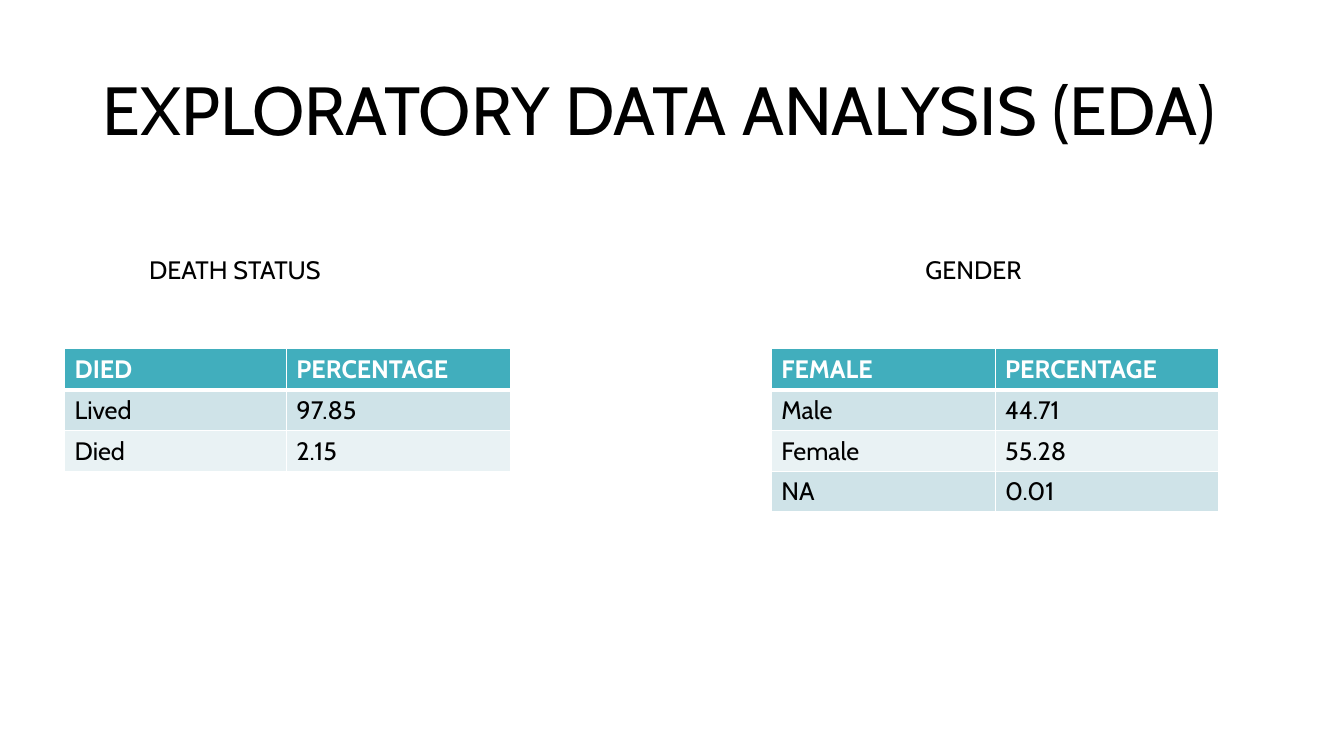
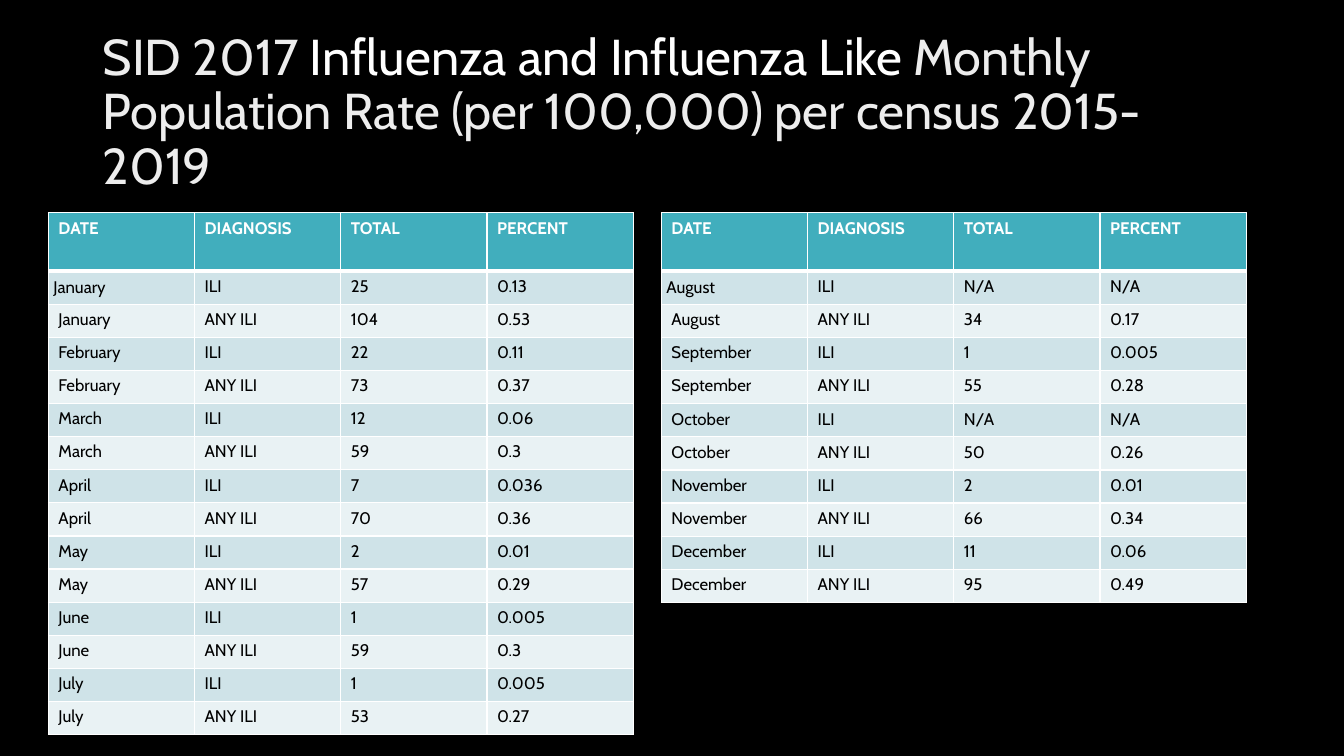
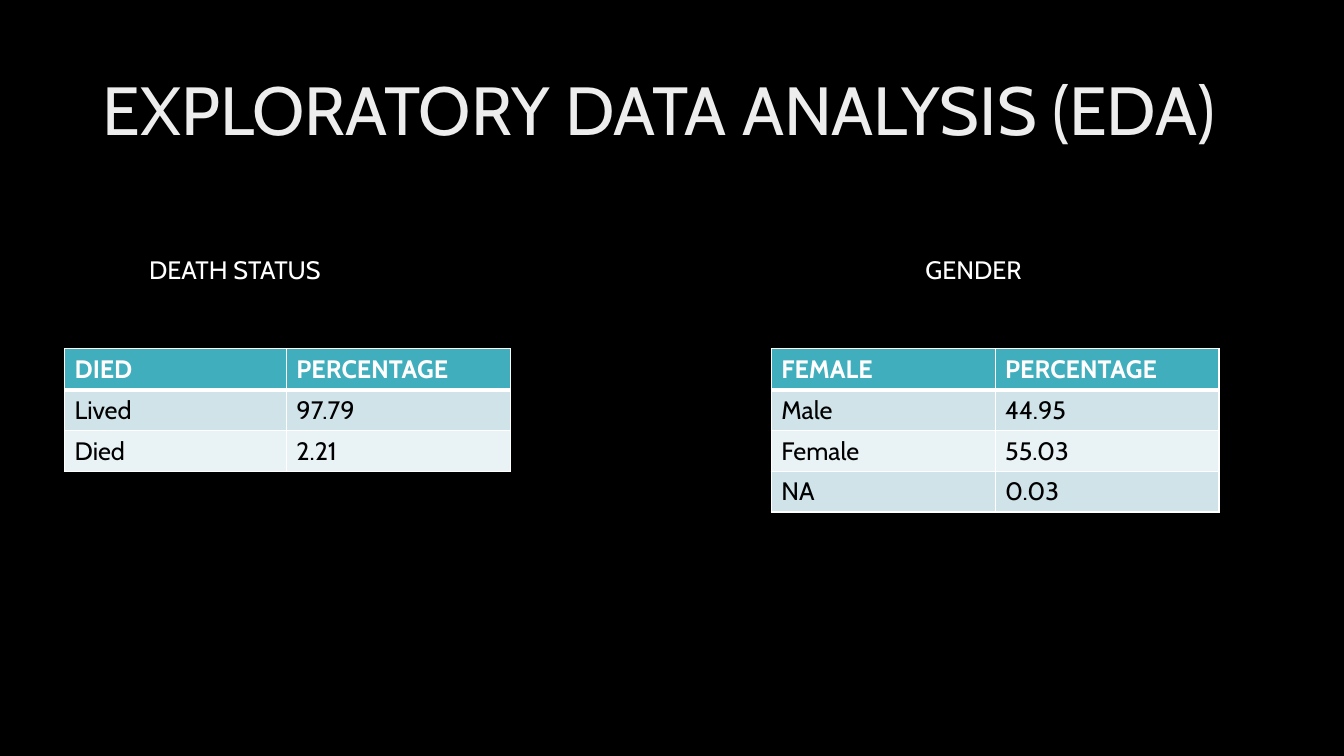
from lxml.etree import SubElement
from pptx import Presentation
from pptx.dml.color import RGBColor
from pptx.enum.text import MSO_ANCHOR, MSO_AUTO_SIZE
from pptx.oxml.ns import qn
from pptx.util import Inches, Pt

WHITE = RGBColor(0xFF, 0xFF, 0xFF)
BLACK = RGBColor(0x00, 0x00, 0x00)
SILVER = RGBColor(0xED, 0xED, 0xED)
TEAL = RGBColor(0x41, 0xAE, 0xBD)
BANDS = [RGBColor(0xE9, 0xF2, 0xF4), RGBColor(0xCF, 0xE3, 0xE8)]
FONT = "Cabin"

HEADS = ["DATE", "DIAGNOSIS", "TOTAL", "PERCENT"]
KINDS = ["ILI", "ANY ILI"]
# Each month holds total and percent for each of KINDS.
EARLY = {
    "January": [("25", "0.13"), ("104", "0.53")],
    "February": [("22", "0.11"), ("73", "0.37")],
    "March": [("12", "0.06"), ("59", "0.3")],
    "April": [("7", "0.036"), ("70", "0.36")],
    "May": [("2", "0.01"), ("57", "0.29")],
    "June": [("1", "0.005"), ("59", "0.3")],
    "July": [("1", "0.005"), ("53", "0.27")],
}
LATE = {
    "August": [("N/A", "N/A"), ("34", "0.17")],
    "September": [("1", "0.005"), ("55", "0.28")],
    "October": [("N/A", "N/A"), ("50", "0.26")],
    "November": [("2", "0.01"), ("66", "0.34")],
    "December": [("11", "0.06"), ("95", "0.49")],
}


def style(run, size, color, bold=False):
    font = run.font
    font.name, font.size, font.bold = FONT, Pt(size), bold
    font.color.rgb = color


def add_slide(prs, back):
    slide = prs.slides.add_slide(prs.slide_layouts[6])
    slide.background.fill.solid()
    slide.background.fill.fore_color.rgb = back
    return slide


def add_title(slide, parts, size):
    """Add the title from (text, colour) parts."""
    box = slide.shapes.add_textbox(
        Inches(0.92), Inches(0.4), Inches(11.5), Inches(1.45))
    frame = box.text_frame
    frame.word_wrap = True
    frame.vertical_anchor = MSO_ANCHOR.MIDDLE
    para = frame.paragraphs[0]
    para.line_spacing = 0.9
    for text, color in parts:
        run = para.add_run()
        run.text = text
        style(run, size, color)


def add_label(slide, text, left, width, color):
    box = slide.shapes.add_textbox(
        Inches(left), Inches(2.47), Inches(width), Inches(0.4))
    frame = box.text_frame
    frame.word_wrap = False
    frame.auto_size = MSO_AUTO_SIZE.SHAPE_TO_FIT_TEXT
    frame.text = text
    style(frame.paragraphs[0].runs[0], 18, color)


def set_edges(cell, top, base):
    """Draw white cell borders; top and base are widths in points."""
    props = cell._tc.get_or_add_tcPr()
    edges = [("L", 1), ("R", 1), ("T", top), ("B", base)]
    for spot, (side, width) in enumerate(edges):
        line = SubElement(props, qn(f"a:ln{side}"), w=str(Pt(width)))
        fill = SubElement(line, qn("a:solidFill"))
        SubElement(fill, qn("a:srgbClr"), val=str(WHITE))
        props.insert(spot, line)


def fill_cell(cell, text, row, size):
    head = row == 0
    cell.text = text
    style(cell.text_frame.paragraphs[0].runs[0], size,
          WHITE if head else BLACK, head)
    cell.fill.solid()
    cell.fill.fore_color.rgb = TEAL if head else BANDS[row % 2]
    set_edges(cell, 3 if row == 1 else 1, 3 if head else 1)


def add_grid(slide, rows, left, top, cols, height, head, size):
    """Add a table; rows below the head share the remaining height."""
    shape = slide.shapes.add_table(
        len(rows), len(cols), Inches(left), Inches(top),
        Inches(sum(cols)), Inches(height))
    table = shape.table
    for col, width in zip(table.columns, cols):
        col.width = Inches(width)
    body = (height - head) / (len(rows) - 1)
    for r, texts in enumerate(rows):
        table.rows[r].height = Inches(body if r else head)
        for c, text in enumerate(texts):
            fill_cell(table.cell(r, c), text, r, size)
    return table


def add_eda(prs, back, ink, tint, deaths, sexes):
    slide = add_slide(prs, back)
    add_title(slide, [("EXPLORATORY DATA ANALYSIS (EDA)", tint)], 48.6)
    add_label(slide, "DEATH STATUS", 1.38, 1.97, ink)
    add_label(slide, "GENDER", 9.08, 1.18, ink)
    died = [("DIED", "PERCENTAGE"), *zip(["Lived", "Died"], deaths)]
    add_grid(slide, died, 0.64, 3.46, [2.2, 2.22], 1.22, 0.41, 18)
    sex = [("FEMALE", "PERCENTAGE"), *zip(["Male", "Female", "NA"], sexes)]
    add_grid(slide, sex, 7.65, 3.46, [2.22, 2.22], 1.62, 0.41, 18)


def add_months(slide, months, left, height):
    rows = [HEADS]
    for month, pairs in months.items():
        rows += [(month, kind, *pair) for kind, pair in zip(KINDS, pairs)]
    table = add_grid(slide, rows, left, 2.11, [1.45] * 4, height, 0.58, 12)
    first = table.cell(1, 0)
    first.vertical_anchor = MSO_ANCHOR.MIDDLE
    first.margin_left = first.margin_right = Inches(0.05)
    first.margin_top = first.margin_bottom = Inches(0.04)


def add_rates(prs):
    slide = add_slide(prs, BLACK)
    add_title(slide, [
        ("SID 2017 ", SILVER),
        ("Influenza and Influenza Like ", WHITE),
        ("Monthly Population Rate (per 100,000) per census 2015-2019", SILVER),
    ], 36)
    add_months(slide, EARLY, 0.48, 5.18)
    add_months(slide, LATE, 6.56, 3.87)


def main():
    prs = Presentation()
    prs.slide_width, prs.slide_height = Inches(13.33), Inches(7.5)
    add_eda(prs, WHITE, BLACK, BLACK,
            ["97.85", "2.15"], ["44.71", "55.28", "0.01"])
    add_rates(prs)
    add_eda(prs, BLACK, WHITE, SILVER,
            ["97.79", "2.21"], ["44.95", "55.03", "0.03"])
    prs.save("out.pptx")


if __name__ == "__main__":
    main()
